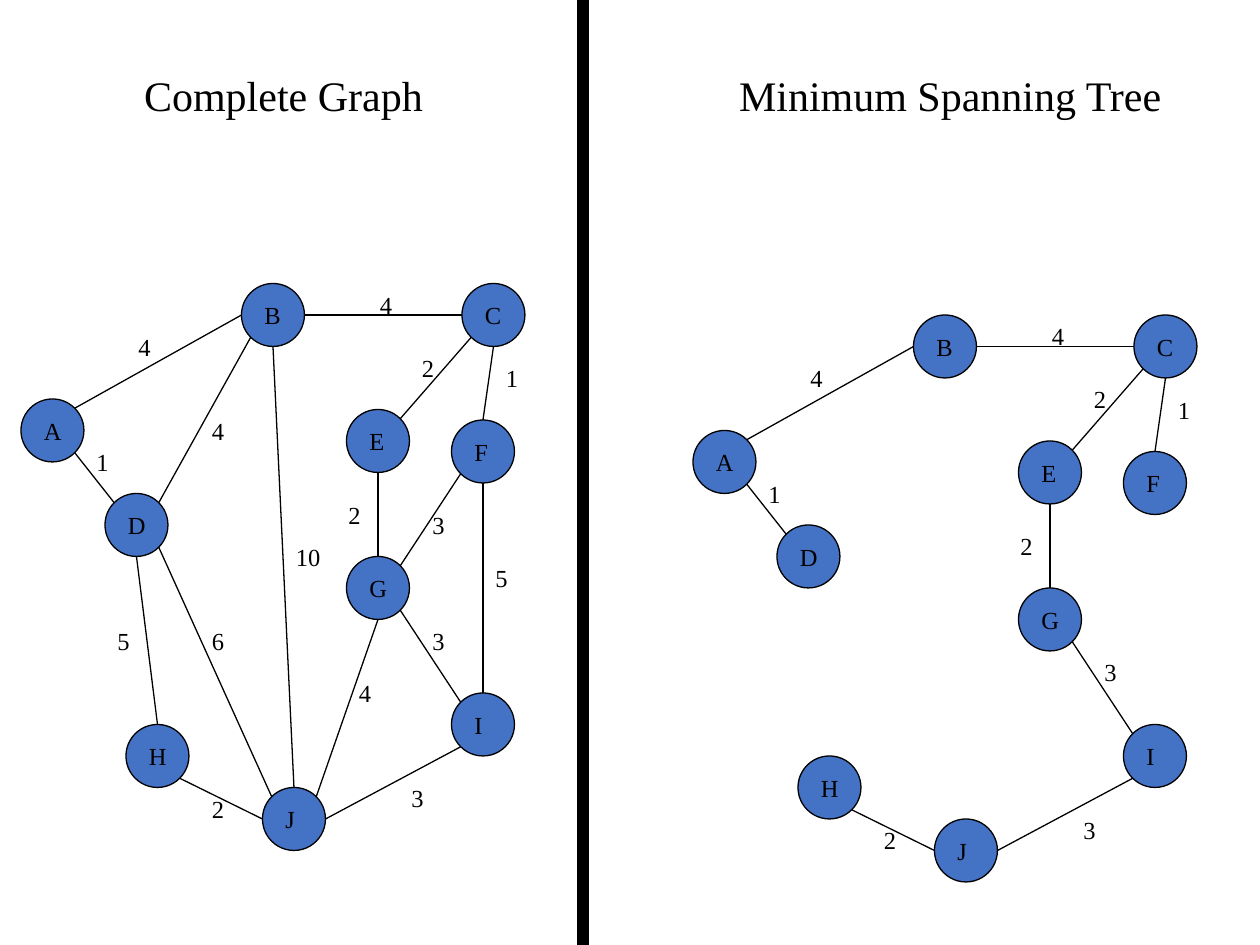
from lxml import etree
from pptx import Presentation
from pptx.dml.color import RGBColor
from pptx.enum.shapes import MSO_CONNECTOR, MSO_SHAPE
from pptx.enum.text import MSO_ANCHOR, MSO_AUTO_SIZE, PP_ALIGN
from pptx.oxml.ns import qn
from pptx.util import Inches, Pt

STRAIGHT = MSO_CONNECTOR.STRAIGHT
OVAL, RECTANGLE = MSO_SHAPE.OVAL, MSO_SHAPE.RECTANGLE
TOP = MSO_ANCHOR.TOP
GROW = MSO_AUTO_SIZE.SHAPE_TO_FIT_TEXT
CENTER = PP_ALIGN.CENTER

# The slide is a grid of 120 columns and 90 rows, twelve to the inch.
COLUMNS, ROWS, PER_INCH = 120, 90, 12
NODE_SIZE = 6
TREE_SHIFT = (64, 3)
COMPARISON_LAYOUT = 4

# Column and row of each node's top left corner in the complete graph
NODES = {
    "A": (2, 38), "B": (23, 27), "C": (44, 27), "D": (10, 47), "E": (33, 39),
    "F": (43, 40), "G": (33, 53), "H": (12, 69), "I": (43, 66), "J": (25, 75),
}
# Horizontal and vertical direction from a node's centre to its rim
SITES = {
    "top": (0, -1), "left": (-1, 0), "bottom": (0, 1), "right": (1, 0),
    "top left": (-1, -1), "top right": (1, -1),
    "bottom left": (-1, 1), "bottom right": (1, 1),
}
# Nodes, sites where the edge leaves and arrives, weight, place of the weight
EDGES = [
    ("AB", "top right", "left", 4, (12, 31)),
    ("AD", "bottom right", "top left", 1, (8, 42)),
    ("BC", "right", "left", 4, (35, 27)),
    ("BD", "bottom left", "top right", 4, (19, 39)),
    ("BJ", "bottom", "top", 10, (27, 51)),
    ("CE", "bottom left", "top right", 2, (39, 33)),
    ("CF", "bottom", "top", 1, (47, 34)),
    ("EG", "bottom", "top", 2, (32, 47)),
    ("FG", "bottom left", "top right", 3, (40, 48)),
    ("FI", "bottom", "top", 5, (46, 53)),
    ("GI", "bottom right", "top left", 3, (40, 59)),
    ("GJ", "bottom", "top right", 4, (33, 64)),
    ("DH", "bottom", "top", 5, (10, 59)),
    ("DJ", "bottom right", "top left", 6, (19, 59)),
    ("HJ", "bottom right", "left", 2, (19, 75)),
    ("JI", "right", "bottom left", 3, (38, 74)),
]
TREE = {"AB", "AD", "BC", "CE", "CF", "EG", "GI", "HJ", "JI"}
# Label widths in inches, margins included
LABEL_WIDTHS = {"B": 0.33, "C": 0.33, "E": 0.32, "F": 0.31, "I": 0.27,
                "J": 0.28, "10": 0.4}
LETTER_WIDTH, DIGIT_WIDTH, LABEL_HEIGHT = 0.34, 0.3, 0.33


def color(code):
    return RGBColor.from_string(code)


def grid(*lengths):
    return [Inches(length / PER_INCH) for length in lengths]


def rim_point(corner, site):
    """Grid point where an edge meets a node's circle."""
    across, down = SITES[site]
    radius = NODE_SIZE / 2
    reach = radius / (across ** 2 + down ** 2) ** 0.5
    return corner[0] + radius + across * reach, corner[1] + radius + down * reach


class GraphSlide:
    font_name = "Times New Roman"
    ink, node_fill = "000000", "4472C4"
    label_size, heading_size, line_width = Pt(14), Pt(24), Pt(0.75)

    def __init__(self, deck):
        self.slide = deck.slides.add_slide(deck.slide_layouts[COMPARISON_LAYOUT])
        self.shapes = self.slide.shapes

    def set_font(self, para, size):
        para.font.name = self.font_name
        para.font.size = size
        para.font.bold = False
        para.font.color.rgb = color(self.ink)

    def heading(self, index, text, *place):
        box = self.slide.placeholders[index]
        box.left, box.top, box.width, box.height = grid(*place)
        frame = box.text_frame
        frame.text = text
        frame.vertical_anchor = TOP
        frame.auto_size = GROW
        para = frame.paragraphs[0]
        para.alignment = CENTER
        para.space_before = Pt(0)
        self.set_font(para, self.heading_size)

    def remove_empty_placeholders(self):
        for box in list(self.slide.placeholders):
            if not box.has_text_frame or not box.text_frame.text:
                box.element.getparent().remove(box.element)

    def shape(self, kind, fill, *place):
        shape = self.shapes.add_shape(kind, *grid(*place))
        shape.shadow.inherit = False
        shape.fill.solid()
        shape.fill.fore_color.rgb = color(fill)
        shape.line.color.rgb = color(self.ink)
        shape.line.width = self.line_width

    def edge(self, start, end):
        line = self.shapes.add_connector(STRAIGHT, *grid(*start, *end))
        line.line.color.rgb = color(self.ink)
        line.line.width = self.line_width
        etree.SubElement(line.element.spPr, qn("a:effectLst"))

    def label(self, text, column, row):
        usual = DIGIT_WIDTH if text.isdigit() else LETTER_WIDTH
        width = LABEL_WIDTHS.get(text, usual)
        box = self.shapes.add_textbox(*grid(column, row), Inches(width),
                                      Inches(LABEL_HEIGHT))
        frame = box.text_frame
        frame.text = text
        frame.word_wrap = False
        frame.auto_size = GROW
        self.set_font(frame.paragraphs[0], self.label_size)

    def graph(self, edges, shift=(0, 0)):
        def moved(point):
            return point[0] + shift[0], point[1] + shift[1]

        corners = {name: moved(corner) for name, corner in NODES.items()}
        for corner in corners.values():
            self.shape(OVAL, self.node_fill, *corner, NODE_SIZE, NODE_SIZE)
        for (first, second), leaves, arrives, weight, place in edges:
            self.edge(rim_point(corners[first], leaves),
                      rim_point(corners[second], arrives))
            self.label(str(weight), *moved(place))
        for name, (column, row) in corners.items():
            self.label(name, column + 1, row + 1)


def main():
    deck = Presentation()
    deck.slide_width, deck.slide_height = grid(COLUMNS, ROWS)
    page = GraphSlide(deck)
    page.heading(1, "Complete Graph", 4, 6, 46, 6)
    page.heading(3, "Minimum Spanning Tree", 69, 6, 43, 6)
    page.remove_empty_placeholders()
    page.shape(RECTANGLE, page.ink, 55, 0, 1, ROWS)
    page.graph(EDGES)
    page.graph([edge for edge in EDGES if edge[0] in TREE], TREE_SHIFT)
    deck.save("out.pptx")


if __name__ == "__main__":
    main()
